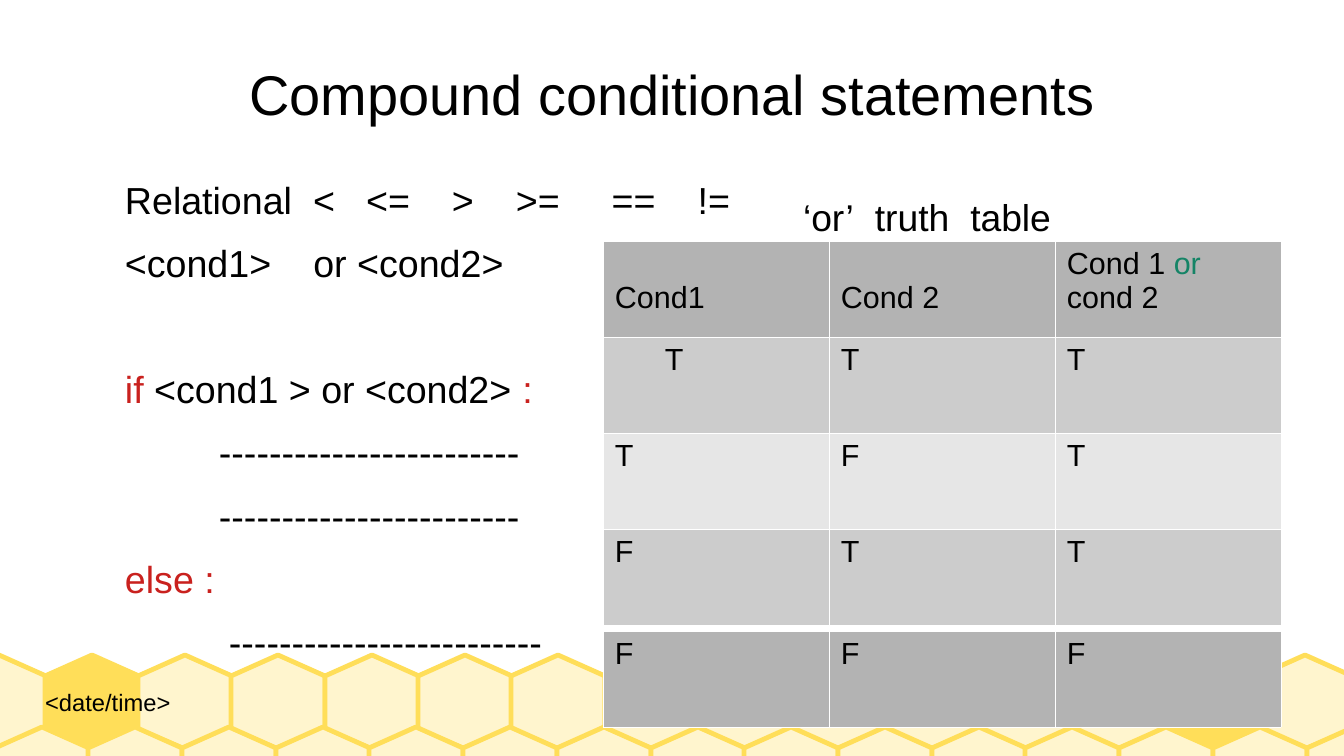
import pptx
import pptx.dml.color
import pptx.enum.text
import pptx.oxml
import pptx.util
from lxml import etree

RGBColor = pptx.dml.color.RGBColor
ANCHOR = pptx.enum.text.MSO_ANCHOR
ALIGN = pptx.enum.text.PP_ALIGN

BLACK = RGBColor(0x00, 0x00, 0x00)
RED = RGBColor(0xC9, 0x21, 0x1E)
GREEN = RGBColor(0x15, 0x84, 0x66)
GOLD = RGBColor(0xFF, 0xDE, 0x59)
CREAM = RGBColor(0xFF, 0xF5, 0xCE)
DARK_GRAY = RGBColor(0xB3, 0xB3, 0xB3)
MID_GRAY = RGBColor(0xCC, 0xCC, 0xCC)
LIGHT_GRAY = RGBColor(0xE6, 0xE6, 0xE6)

TITLE = "Compound conditional statements"
DATE = "<date/time>"
LABEL = ["‘or’", 21, "truth", 21, "table"]

STATEMENTS = [
    (["Relational", 21, "<", 31, "<=", 42, ">", 42, ">=", 52, "==", 42, "!="], {}),
    (["<cond1>", 42, "or <cond2>"], {}),
    ([("if", RED), " <cond1 > or <cond2> ", (":", RED)], dict(before=37.2)),
    (["------------------------"], dict(indent=94)),
    (["------------------------"], dict(indent=94)),
    ([("else :", RED)], {}),
    (["-------------------------"], dict(indent=104)),
]

TRUTH_ROWS = [
    (DARK_GRAY, [["Cond1"], ["Cond 2"], ["Cond 1", (" or", GREEN), " cond 2"]]),
    (MID_GRAY, [["T"], ["T"], ["T"]]),
    (LIGHT_GRAY, [["T"], ["F"], ["T"]]),
    (MID_GRAY, [["F"], ["T"], ["T"]]),
]
LAST_ROW = [(DARK_GRAY, [["F"], ["F"], ["F"]])]
CELL_MARGINS = {(0, 0): (12, 40), (0, 1): (12, 40), (1, 0): (62, 6)}

HEXAGON = [(47, 0), (0, 21), (0, 74), (47, 94), (94, 74), (94, 21)]
HONEYCOMB = [(-48, 1258, 655, {1, 13}), (-5, 1307, 727, set())]
HEXAGONS_PER_ROW = 15
COLUMN_WIDTH, ROW_HEIGHT = 226, 96

PX_PER_INCH = 122
SCALE = 914400 // PX_PER_INCH
SPACE_WIDTH = 0.28


def px(length):
    return pptx.util.Emu(length * SCALE)


def write(paragraph, runs, size=18, align=ALIGN.LEFT, indent=0, before=0, after=0):
    props = paragraph._p.get_or_add_pPr()
    props.set("marL", str(px(indent)))
    props.set("indent", "0")
    etree.SubElement(props, pptx.oxml.ns.qn("a:buNone"))
    paragraph.alignment = align
    paragraph.space_before = pptx.util.Pt(before)
    paragraph.space_after = pptx.util.Pt(after)
    for part in runs:
        run = paragraph.add_run()
        if isinstance(part, int):
            spacing = part * 72 / PX_PER_INCH - SPACE_WIDTH * size
            run._r.get_or_add_rPr().set("spc", str(round(spacing * 100)))
            part = " "
        run.text, color = (part, BLACK) if isinstance(part, str) else part
        run.font.name = "Arial"
        run.font.size = pptx.util.Pt(size)
        run.font.color.rgb = color


def place(holder, left, top, width, height, anchor):
    holder.left, holder.top, holder.width, holder.height = map(px, (left, top, width, height))
    frame = holder.text_frame
    frame.word_wrap = True
    frame.auto_size = pptx.enum.text.MSO_AUTO_SIZE.NONE
    frame.vertical_anchor = anchor
    frame.margin_left = frame.margin_top = frame.margin_right = frame.margin_bottom = 0
    return frame


def add_honeycomb(shapes):
    for first, last, top, highlighted in HONEYCOMB:
        for i in range(HEXAGONS_PER_ROW):
            left = first + (last - first) * i // (HEXAGONS_PER_ROW - 1)
            corners = [(left + x, top + y) for x, y in HEXAGON]
            outline = shapes.build_freeform(*corners[0], scale=SCALE)
            outline.add_line_segments(corners[1:], close=True)
            cell = outline.convert_to_shape()
            cell.shadow.inherit = False
            cell.fill.solid()
            cell.fill.fore_color.rgb = GOLD if i in highlighted else CREAM
            cell.line.color.rgb = GOLD
            cell.line.width = pptx.util.Pt(2.83)
            shapes.title._element.addprevious(cell._element)


def add_borders(cell):
    props = cell._tc.get_or_add_tcPr()
    for position, side in enumerate(("lnL", "lnR", "lnT", "lnB")):
        border = pptx.oxml.parse_xml(
            f'<a:{side} {pptx.oxml.ns.nsdecls("a")} w="762"><a:solidFill>'
            f'<a:srgbClr val="FFFFFF"/></a:solidFill></a:{side}>')
        props.insert(position, border)


def add_truth_table(shapes, rows, left, top, margins):
    columns = len(rows[0][1])
    table = shapes.add_table(len(rows), columns, px(left), px(top),
                             px(COLUMN_WIDTH * columns), px(ROW_HEIGHT * len(rows))).table
    for column in table.columns:
        column.width = px(COLUMN_WIDTH)
    for r, (color, values) in enumerate(rows):
        table.rows[r].height = px(ROW_HEIGHT)
        for c, runs in enumerate(values):
            cell = table.cell(r, c)
            margin_left, margin_top = margins.get((r, c), (12, 6))
            cell.margin_left, cell.margin_top = px(margin_left), px(margin_top)
            cell.margin_right, cell.margin_bottom = px(12), px(6)
            cell.fill.solid()
            cell.fill.fore_color.rgb = color
            add_borders(cell)
            write(cell.text_frame.paragraphs[0], runs)


def main():
    deck = pptx.Presentation()
    deck.slide_width, deck.slide_height = px(1344), px(756)
    slide = deck.slides.add_slide(deck.slide_layouts[1])
    shapes = slide.shapes
    add_honeycomb(shapes)

    title = place(shapes.title, 67, 30, 1210, 127, ANCHOR.MIDDLE)
    write(title.paragraphs[0], [TITLE], size=33, align=ALIGN.CENTER)

    body = place(slide.placeholders[1], 125, 177, 1152, 500, ANCHOR.TOP)
    for i, (runs, layout) in enumerate(STATEMENTS):
        paragraph = body.add_paragraph() if i else body.paragraphs[0]
        write(paragraph, runs, size=22.2, after=10.6, **layout)

    date = place(shapes.add_textbox(0, 0, 0, 0), 45, 655, 321, 94, ANCHOR.MIDDLE)
    write(date.paragraphs[0], [DATE], size=14)

    add_truth_table(shapes, TRUTH_ROWS, 603, 241, CELL_MARGINS)
    add_truth_table(shapes, LAST_ROW, 603, 631, {})

    label = place(shapes.add_textbox(0, 0, 0, 0), 803, 194, 275, 83, ANCHOR.TOP)
    write(label.paragraphs[0], LABEL, size=22)

    deck.save("out.pptx")


if __name__ == "__main__":
    main()
